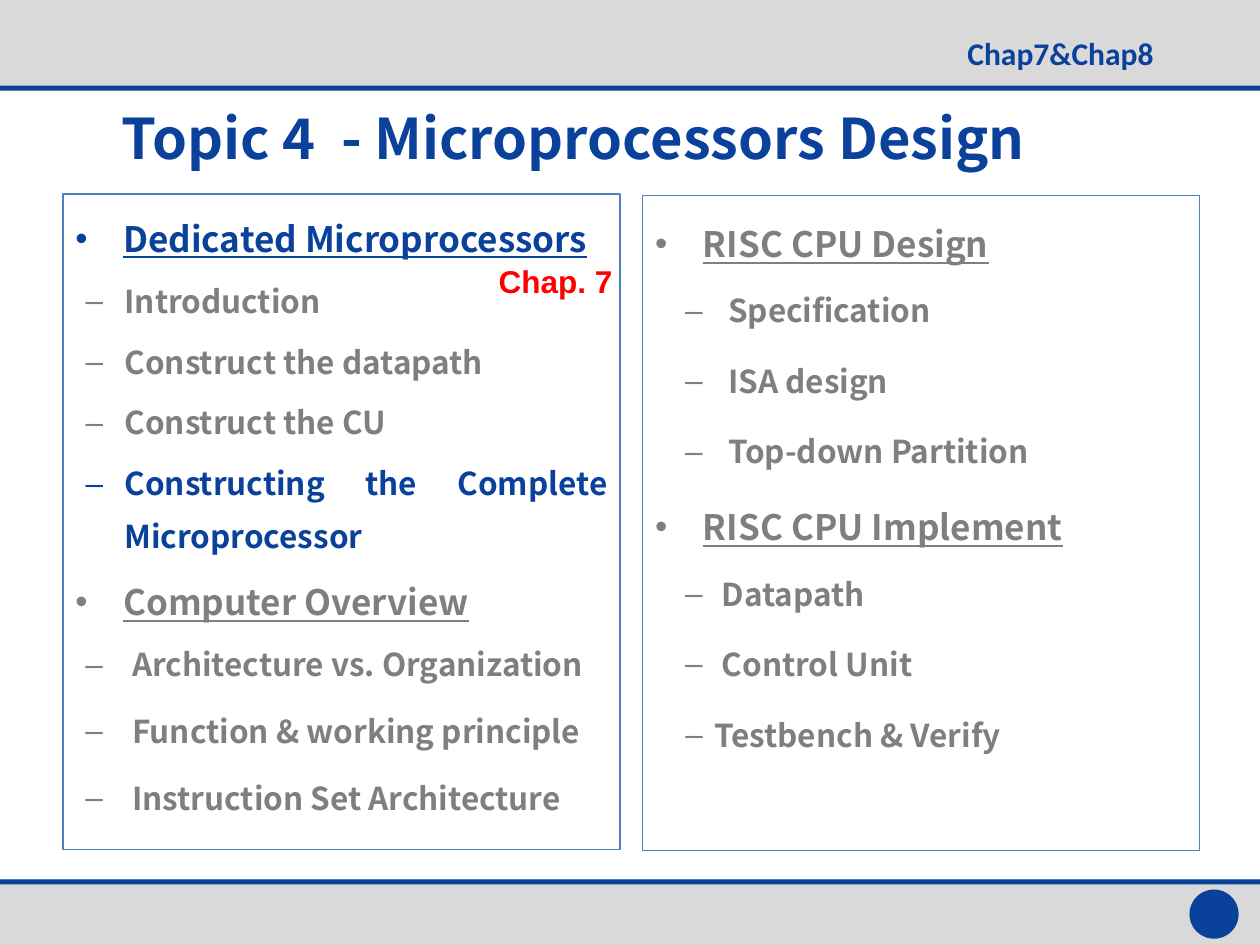
from lxml import etree
from pptx import Presentation
from pptx.dml.color import RGBColor
from pptx.enum.shapes import MSO_SHAPE
from pptx.enum.text import MSO_ANCHOR, PP_ALIGN
from pptx.oxml.ns import qn
from pptx.util import Inches, Pt

RECTANGLE, OVAL = MSO_SHAPE.RECTANGLE, MSO_SHAPE.OVAL
TOP, MIDDLE = MSO_ANCHOR.TOP, MSO_ANCHOR.MIDDLE
LEFT, JUSTIFY = PP_ALIGN.LEFT, PP_ALIGN.JUSTIFY

COLORS = {"blue": "0A419B", "gray": "7F7F7F", "band": "D9D9D9",
          "border": "4F81BD", "red": "FF0000"}
BODY_FONT = "Noto Sans CJK SC"

# Frame: shape, colour, (left, top, width, height)
FRAME = [
    (RECTANGLE, "band", (0, 6.98, 10, 0.52)),
    (RECTANGLE, "band", (0, 0, 10, 0.68)),
    (OVAL, "blue", (9.44, 7.06, 0.39, 0.39)),
    (RECTANGLE, "blue", (0, 0.68, 10, 0.04)),
    (RECTANGLE, "blue", (0, 6.98, 10, 0.04)),
]

# Labels: text, area, size, font, colour, anchor
LABELS = [
    ("Topic 4  - Microprocessors Design", (0.87, 0.75, 9.13, 0.67), 32, BODY_FONT, "blue", MIDDLE),
    ("Chap7&Chap8", (7.58, 0.22, 1.92, 0.4), 18, "Calibri", "blue", TOP),
    ("Chap. 7", (3.86, 2.03, 1.13, 0.4), 18, "Arial", "red", TOP),
]

# Topics: heading, colour, space after each item, extra text indent, items
PANELS = [
    {"area": (0.5, 1.54, 4.42, 5.2), "align": JUSTIFY, "spacing": 1.4,
     "item_indent": (0.39, 0.31),
     "topics": [
         ("Dedicated Microprocessors", "blue", 0, [
             ("Introduction", "gray", 0),
             ("Construct the datapath", "gray", 0),
             ("Construct the CU", "gray", 0),
             ("Constructing the Complete Microprocessor", "blue", 0)]),
         ("Computer Overview", "gray", 3.4, [
             ("Architecture vs. Organization", "gray", 0.06),
             ("Function & working principle", "gray", 0.06),
             ("Instruction Set Architecture", "gray", 0.06)])]},
    {"area": (5.1, 1.55, 4.42, 5.2), "align": LEFT, "spacing": 1.5,
     "item_indent": (0.47, 0.23),
     "topics": [
         ("RISC CPU Design", "gray", 3.4, [
             ("Specification", "gray", 0.11),
             ("ISA design", "gray", 0.11),
             ("Top-down Partition", "gray", 0.11)]),
         ("RISC CPU Implement", "gray", 3.4, [
             ("Datapath", "gray", 0.06),
             ("Control Unit", "gray", 0.06),
             ("Testbench & Verify", "gray", 0)])]},
]


def rgb(name):
    return RGBColor.from_string(COLORS[name])


def add_block(page, kind, area):
    block = page.shapes.add_shape(kind, *map(Inches, area))
    block.shadow.inherit = False
    return block


def style(para, size, font, color):
    para.font.size = Pt(size)
    para.font.name = font
    para.font.bold = True
    para.font.color.rgb = rgb(color)


def add_bullet(para, char, color, margin, hanging):
    props = para._p.get_or_add_pPr()
    props.set("marL", str(Inches(margin)))
    props.set("indent", str(-Inches(hanging)))
    bullet_color = etree.SubElement(props, qn("a:buClr"))
    etree.SubElement(bullet_color, qn("a:srgbClr"), val=COLORS[color])
    etree.SubElement(props, qn("a:buFont"), typeface="Arial")
    etree.SubElement(props, qn("a:buChar"), char=char)


def add_panel(page, panel):
    box = add_block(page, RECTANGLE, panel["area"])
    box.fill.background()
    box.line.color.rgb = rgb("border")
    box.line.width = Pt(0.75)
    frame = box.text_frame
    frame.word_wrap = True
    frame.vertical_anchor = TOP

    # Flatten topics into lines: text, colour, is heading, extra indent, space after
    lines = []
    for heading, color, after, items in panel["topics"]:
        lines.append((heading, color, True, 0, 0))
        lines += [(text, tint, False, extra, after) for text, tint, extra in items]

    margin, hanging = panel["item_indent"]
    for index, (text, color, is_heading, extra, after) in enumerate(lines):
        para = frame.add_paragraph() if index else frame.paragraphs[0]
        para.text = text
        para.alignment = panel["align"]
        para.line_spacing = panel["spacing"]
        para.space_after = Pt(after)
        if index:
            para.space_before = Pt(5 if is_heading else 4.5)
        if is_heading:
            add_bullet(para, "•", color, 0.38, 0.38)
        else:
            para.level = 1
            add_bullet(para, "–", color, margin + extra, hanging + extra)
        style(para, 20 if is_heading else 18, BODY_FONT, color)
        para.font.underline = is_heading


def add_label(page, text, area, size, font, color, anchor):
    box = page.shapes.add_textbox(*map(Inches, area))
    frame = box.text_frame
    frame.word_wrap = True
    frame.vertical_anchor = anchor
    frame.text = text
    style(frame.paragraphs[0], size, font, color)


def main():
    deck = Presentation()
    deck.slide_width, deck.slide_height = Inches(10), Inches(7.5)
    page = deck.slides.add_slide(deck.slide_layouts[6])

    # Header and footer bands
    for kind, color, area in FRAME:
        block = add_block(page, kind, area)
        block.fill.solid()
        block.fill.fore_color.rgb = rgb(color)
        block.line.fill.background()

    # Topic panels, then title and chapter labels
    for panel in PANELS:
        add_panel(page, panel)
    for label in LABELS:
        add_label(page, *label)

    deck.save("out.pptx")


if __name__ == "__main__":
    main()
